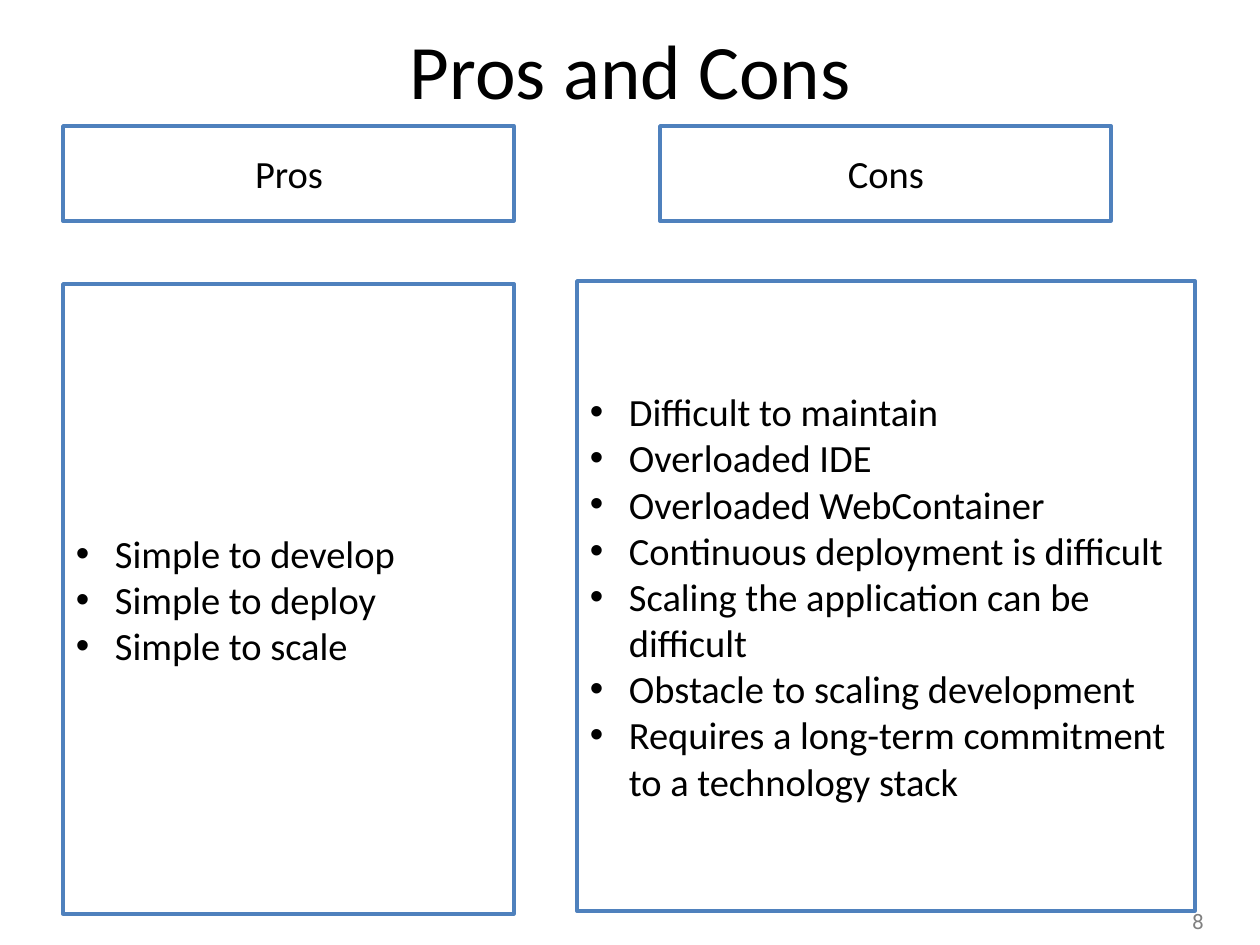
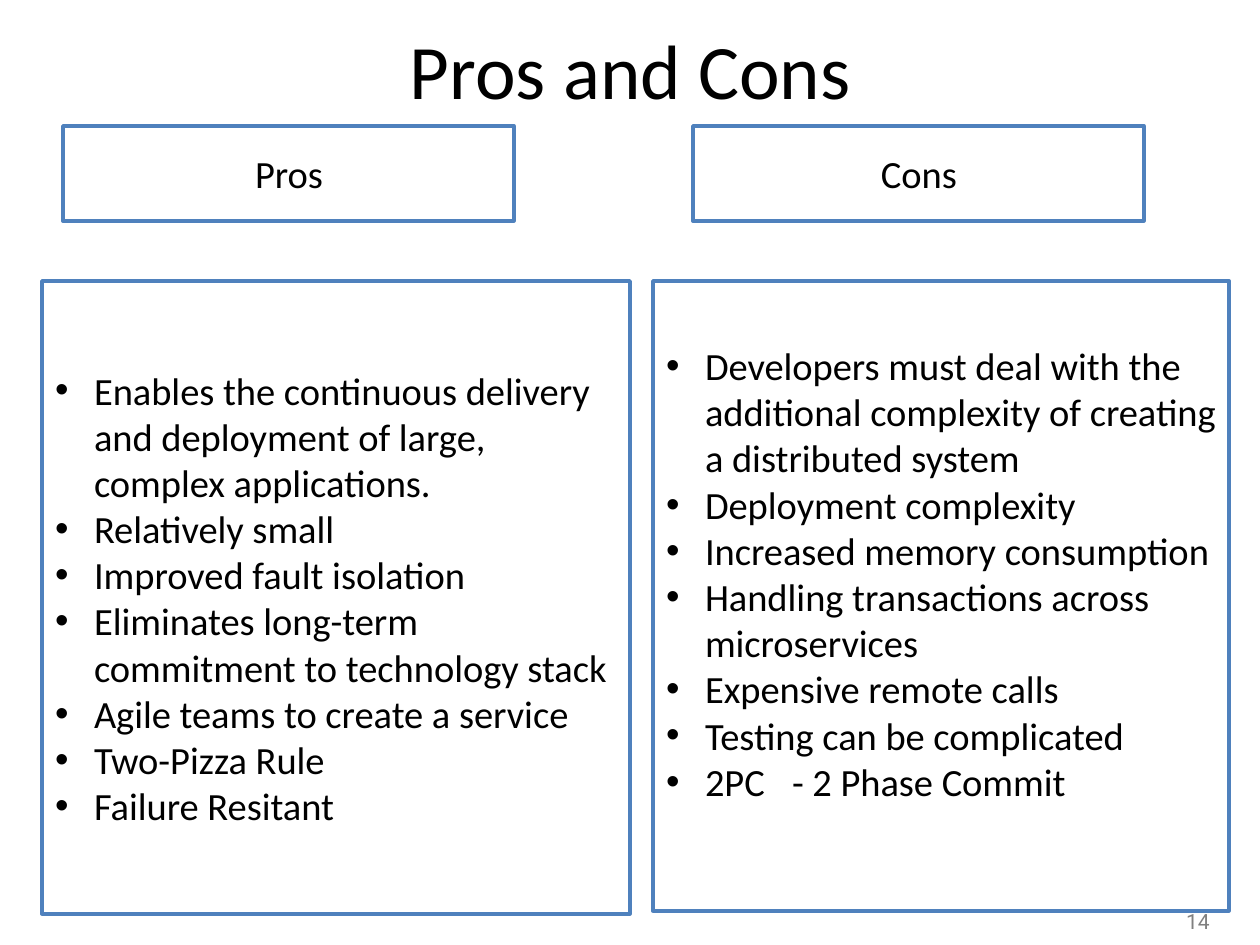
import pptx
import pptx.util
import pptx.dml.color
import pptx.enum.shapes
import pptx.enum.text
import lxml.etree
import pptx.oxml.ns

PX = 914400 / 126
COLORS = {"text": "000000", "box": "FFFFFF", "border": "4F81BD", "number": "808080"}
ALIGN = pptx.enum.text.PP_ALIGN
ANCHOR = pptx.enum.text.MSO_ANCHOR
INDENT = 39


def px(length):
    return pptx.util.Emu(round(length * PX))


def add_text(slide, lines, at, size=22, font="Calibri", color="text", align=ALIGN.CENTER,
             anchor=ANCHOR.MIDDLE, boxed=False, bullets=False, bottom=6):
    place = [px(length) for length in at]
    if boxed:
        shape = slide.shapes.add_shape(pptx.enum.shapes.MSO_SHAPE.RECTANGLE, *place)
        shape.shadow.inherit = False
        shape.fill.solid()
        shape.fill.fore_color.rgb = pptx.dml.color.RGBColor.from_string(COLORS["box"])
        shape.line.color.rgb = pptx.dml.color.RGBColor.from_string(COLORS["border"])
        shape.line.width = pptx.util.Pt(2)
    else:
        shape = slide.shapes.add_textbox(*place)
    frame = shape.text_frame
    frame.word_wrap = True
    frame.vertical_anchor = anchor
    frame.margin_left, frame.margin_right = px(13), px(12)
    frame.margin_top, frame.margin_bottom = px(6), px(bottom)
    for index, line in enumerate(lines):
        paragraph = frame.paragraphs[0] if index == 0 else frame.add_paragraph()
        paragraph.alignment = align
        if bullets:
            properties = paragraph._p.get_or_add_pPr()
            properties.set("marL", str(px(INDENT)))
            properties.set("indent", str(-px(INDENT)))
            for tag, name, value in (("a:buFont", "typeface", "Arial"), ("a:buChar", "char", "•")):
                lxml.etree.SubElement(properties, pptx.oxml.ns.qn(tag)).set(name, value)
        run = paragraph.add_run()
        run.text = line
        run.font.size = pptx.util.Pt(size)
        run.font.name = font
        run.font.color.rgb = pptx.dml.color.RGBColor.from_string(COLORS[color])


comparisons = [
    {
        "number": "8",
        "columns": [
            {"heading": "Pros", "heading_left": 63, "box": (63, 284, 451, 630), "points": [
                "Simple to develop",
                "Simple to deploy",
                "Simple to scale",
            ]},
            {"heading": "Cons", "heading_left": 660, "box": (577, 281, 618, 630), "points": [
                "Difficult to maintain",
                "Overloaded IDE",
                "Overloaded WebContainer",
                "Continuous deployment is difficult",
                "Scaling the application can be difficult",
                "Obstacle to scaling development",
                "Requires a long-term commitment to a technology stack",
            ]},
        ],
    },
    {
        "number": "14",
        "columns": [
            {"heading": "Pros", "heading_left": 63, "box": (42, 281, 588, 633), "points": [
                "Enables the continuous delivery and deployment of large, complex applications.",
                "Relatively small",
                "Improved fault isolation",
                "Eliminates long-term commitment to technology stack",
                "Agile teams to create a service",
                "Two-Pizza Rule",
                "Failure Resitant",
            ]},
            {"heading": "Cons", "heading_left": 693, "box": (653, 281, 576, 630), "bottom": 52, "points": [
                "Developers must deal with the additional complexity of creating a distributed system",
                "Deployment complexity",
                "Increased memory consumption",
                "Handling transactions across microservices",
                "Expensive remote calls",
                "Testing can be complicated",
                "2PC\t- 2 Phase Commit",
            ]},
        ],
    },
]

presentation = pptx.Presentation()
presentation.slide_width = px(1260)
presentation.slide_height = px(945)

for comparison in comparisons:
    slide = presentation.slides.add_slide(presentation.slide_layouts[6])
    add_text(slide, [comparison["number"]], (1166, 903, 63, 38), size=12, font="Roboto",
             color="number", anchor=ANCHOR.TOP)
    add_text(slide, ["Pros and Cons"], (63, -10, 1134, 157), size=44)
    for column in comparison["columns"]:
        add_text(slide, [column["heading"]], (column["heading_left"], 126, 451, 95), boxed=True)
    for column in comparison["columns"]:
        add_text(slide, column["points"], column["box"], align=ALIGN.LEFT, boxed=True,
                 bullets=True, bottom=column.get("bottom", 6))

presentation.save("out.pptx")
